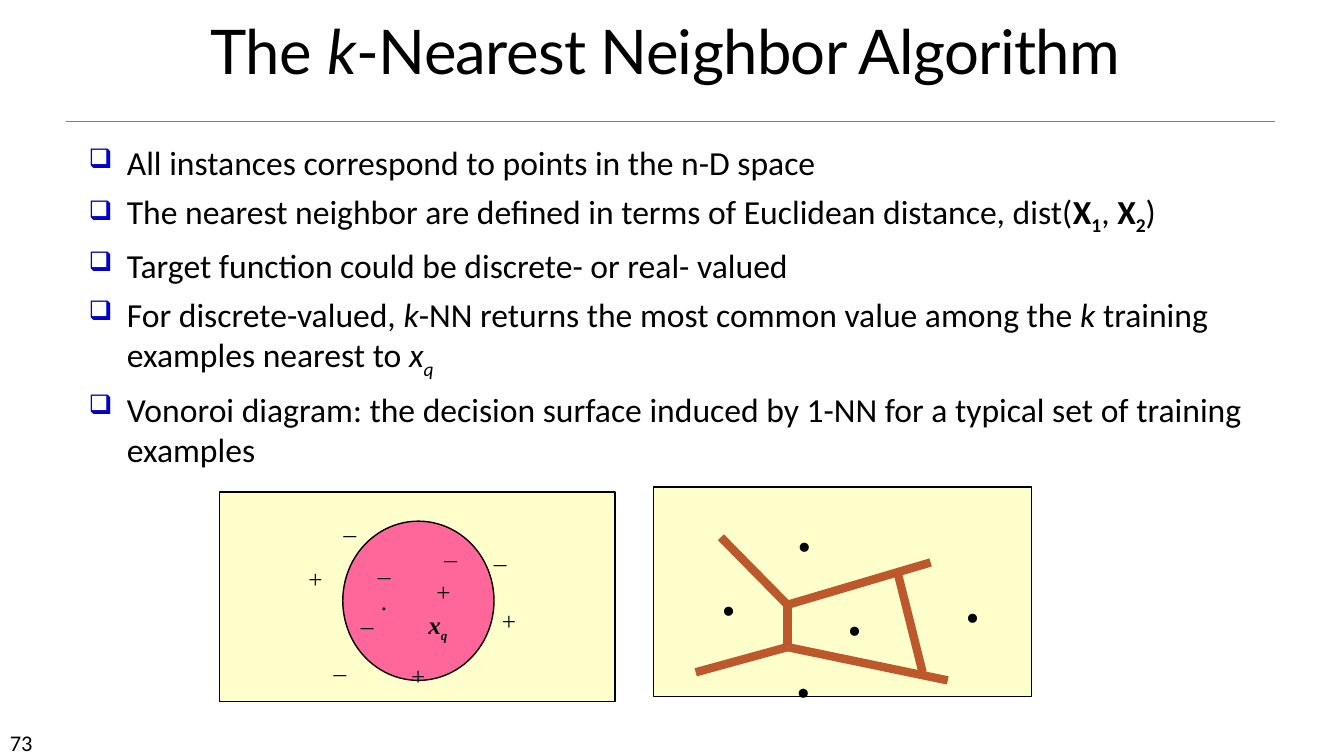
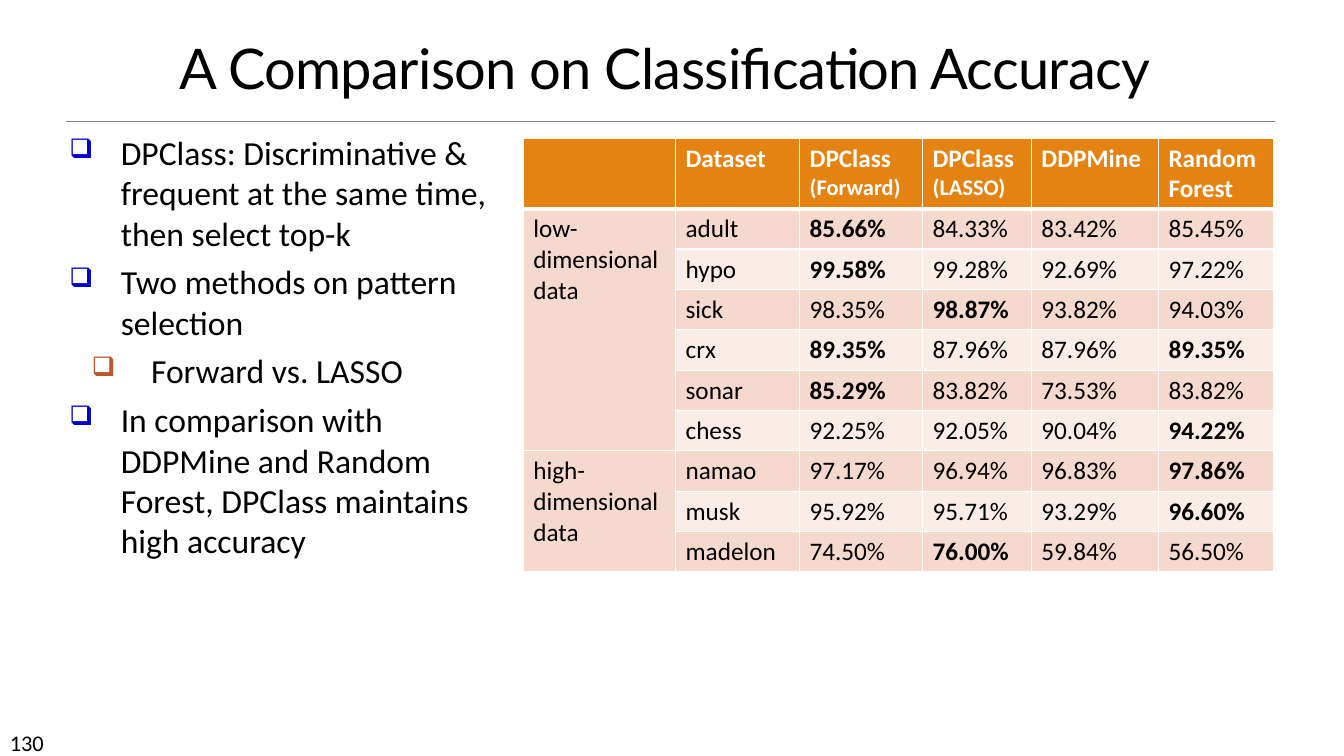
"""Build two classification slides: k-nearest neighbors and an accuracy table."""
from dataclasses import dataclass
from typing import NamedTuple

from lxml.etree import SubElement
from pptx import Presentation
from pptx.dml.color import RGBColor
from pptx.enum.shapes import MSO_CONNECTOR, MSO_SHAPE
from pptx.enum.text import MSO_ANCHOR, MSO_AUTO_SIZE, PP_ALIGN
from pptx.oxml import parse_xml
from pptx.oxml.ns import nsdecls, qn
from pptx.util import Inches, Pt

COLORS = {
    "text": "000000", "sign": "001010", "white": "FFFFFF", "rule": "808080",
    "bullet": "0000CC", "accent": "BD582C", "panel": "FFFFCC",
    "circle": "FF6699", "header": "E48312", "band": "F5D9CC",
    "light_band": "FAEDE7",
}
TITLE_FONT, BODY_FONT, SIGN_FONT = "Lato", "Calibri", "Times New Roman"


class Span(NamedTuple):
    text: str
    bold: bool = False
    italic: bool = False
    sub: bool = False


class Box(NamedTuple):
    left: float
    top: float
    width: float
    height: float


class Mark(NamedTuple):
    text: str
    left: float
    top: float


class Edge(NamedTuple):
    x1: float
    y1: float
    x2: float
    y2: float


@dataclass
class Bullet:
    spans: list[Span]
    level: int = 0


@dataclass
class Indent:
    text: float
    hang: float
    color: str = "bullet"


PLAIN_INDENT = [Indent(0.38, 0.38)]
WIDE_INDENT = [Indent(0.51, 0.51), Indent(0.81, 0.59, "accent")]

KNN_TITLE = [Span("The "), Span("k", italic=True), Span("-Nearest Neighbor Algorithm")]
KNN_BULLETS = [
    Bullet([Span("All instances correspond to points in the n-D space")]),
    Bullet([Span("The nearest neighbor are defined in terms of Euclidean distance, dist("),
            Span("X", bold=True), Span("1", bold=True, sub=True), Span(", "),
            Span("X", bold=True), Span("2", bold=True, sub=True), Span(")")]),
    Bullet([Span("Target function could be discrete- or real- valued")]),
    Bullet([Span("For discrete-valued, "), Span("k", italic=True),
            Span("-NN returns the most common value among the "),
            Span("k", italic=True), Span(" training examples nearest to "),
            Span("x", italic=True), Span("q", italic=True, sub=True)]),
    Bullet([Span("Vonoroi diagram: the decision surface induced by 1-NN for a "
                 "typical set of training examples")]),
]
SIGNS = [
    Mark("_", 3.65, 5.42), Mark("_", 3.48, 5.92), Mark("_", 4.31, 5.25),
    Mark("_", 4.8, 5.29), Mark("_", 3.21, 6.38), Mark("_", 3.31, 5),
    Mark("+", 4.23, 5.67), Mark("+", 3.98, 6.5), Mark("+", 2.96, 5.54),
    Mark("+", 4.88, 5.96),
]
POINTS = [
    Mark(".", 7.81, 4.87), Mark(".", 8.31, 5.7), Mark(".", 7.8, 6.32),
    Mark(".", 7.06, 5.5), Mark(".", 9.48, 5.57),
]
CELL_EDGES = [
    Edge(7.15, 5.33, 7.81, 6), Edge(7.81, 6, 9.23, 5.58),
    Edge(7.81, 6, 7.81, 6.42), Edge(7.81, 6.42, 9.4, 6.75),
    Edge(7.81, 6.42, 6.9, 6.67), Edge(8.9, 5.67, 9.15, 6.67),
]

ACCURACY_BULLETS = [
    Bullet([Span("DPClass: Discriminative & frequent at the same time, then select top-k")]),
    Bullet([Span("Two methods on pattern selection")]),
    Bullet([Span("Forward vs. LASSO")], level=1),
    Bullet([Span("In comparison with DDPMine and Random Forest, DPClass maintains high accuracy")]),
]
HEADERS = ["", "Dataset", "DPClass\n(Forward)", "DPClass\n(LASSO)", "DDPMine", "Random\nForest"]
COLUMN_WIDTHS = [1.51, 1.23, 1.22, 1.08, 1.26, 1.14]
GROUPS = {
    "low-\ndimensional\ndata": {
        "adult": [85.66, 84.33, 83.42, 85.45],
        "hypo": [99.58, 99.28, 92.69, 97.22],
        "sick": [98.35, 98.87, 93.82, 94.03],
        "crx": [89.35, 87.96, 87.96, 89.35],
        "sonar": [85.29, 83.82, 73.53, 83.82],
        "chess": [92.25, 92.05, 90.04, 94.22],
    },
    "high-\ndimensional\ndata": {
        "namao": [97.17, 96.94, 96.83, 97.86],
        "musk": [95.92, 95.71, 93.29, 96.60],
        "madelon": [74.50, 76.00, 59.84, 56.50],
    },
}


def rgb(name: str) -> RGBColor:
    return RGBColor.from_string(COLORS[name])


def style_font(font, name: str, size: float, color: str = "text", bold: bool = False) -> None:
    font.name, font.size, font.bold = name, Pt(size), bold
    font.color.rgb = rgb(color)


def add_spans(p, spans: list[Span], name: str, size: float, color: str = "text") -> None:
    for span in spans:
        r = p.add_run()
        r.text = span.text
        style_font(r.font, name, size, color, span.bold)
        r.font.italic = span.italic
        if span.sub:
            r.font._element.set("baseline", "-25000")


def add_text(s, box: Box, wrap: bool = True):
    tf = s.shapes.add_textbox(*map(Inches, box)).text_frame
    tf.word_wrap = wrap
    return tf


def add_line(s, edge: Edge, color: str, width: float) -> None:
    line = s.shapes.add_connector(MSO_CONNECTOR.STRAIGHT, *map(Inches, edge))
    line.line.color.rgb = rgb(color)
    line.line.width = Pt(width)
    SubElement(line._element.spPr, qn("a:effectLst"))


def add_shape(s, kind: MSO_SHAPE, box: Box, fill: str):
    sp = s.shapes.add_shape(kind, *map(Inches, box))
    sp.shadow.inherit = False
    sp.fill.solid()
    sp.fill.fore_color.rgb = rgb(fill)
    sp.line.color.rgb = rgb("text")
    sp.line.width = Pt(1)
    return sp


def add_slide(prs, title: list[Span], box: Box, size: float, anchor: MSO_ANCHOR, number: int):
    s = prs.slides.add_slide(prs.slide_layouts[5])
    add_line(s, Edge(0.65, 1.2, 12.65, 1.2), "rule", 0.5)
    sp = s.shapes.title
    sp.left, sp.top, sp.width, sp.height = map(Inches, box)
    tf = sp.text_frame
    tf.word_wrap, tf.auto_size, tf.vertical_anchor = True, MSO_AUTO_SIZE.NONE, anchor
    p = tf.paragraphs[0]
    p.alignment, p.line_spacing = PP_ALIGN.CENTER, 0.85
    add_spans(p, title, TITLE_FONT, size)
    for r in p.runs:
        r.font._element.set("spc", "-50")
    tf = add_text(s, Box(0, 7.18, 1.17, 0.3))
    tf.text = str(number)
    style_font(tf.paragraphs[0].runs[0].font, BODY_FONT, 16)
    return s


def add_bullets(s, box: Box, bullets: list[Bullet], indents: list[Indent]) -> None:
    tf = add_text(s, box)
    for i, bullet in enumerate(bullets):
        p = tf.add_paragraph() if i else tf.paragraphs[0]
        p.level = bullet.level
        indent = indents[bullet.level]
        pPr = p._p.get_or_add_pPr()
        pPr.set("marL", str(Inches(indent.text)))
        pPr.set("indent", str(-Inches(indent.hang)))
        color = SubElement(pPr, qn("a:buClr"))
        SubElement(color, qn("a:srgbClr"), val=COLORS[indent.color])
        SubElement(pPr, qn("a:buSzPct"), val="80000")
        SubElement(pPr, qn("a:buChar"), char="❑")
        p.space_before = Pt(6 if i else 0)
        add_spans(p, bullet.spans, BODY_FONT, 24)


def add_mark(s, mark: Mark, size: float, height: float, color: str, bold: bool = False) -> None:
    tf = add_text(s, Box(mark.left, mark.top, 0.34, height), wrap=False)
    tf.text = mark.text
    style_font(tf.paragraphs[0].runs[0].font, SIGN_FONT, size, color, bold)


def add_neighbors(s) -> None:
    add_shape(s, MSO_SHAPE.RECTANGLE, Box(2.18, 4.88, 3.92, 2.08), "panel")
    circle = add_shape(s, MSO_SHAPE.OVAL, Box(3.4, 5.17, 1.5, 1.58), "circle")
    tf = circle.text_frame
    tf.text = "."
    tf.word_wrap, tf.margin_left = False, Inches(0.16)
    style_font(tf.paragraphs[0].runs[0].font, SIGN_FONT, 18)
    for sign in SIGNS:
        add_mark(s, sign, 18, 0.4, "sign")
    p = add_text(s, Box(4.15, 6, 0.4, 0.4), wrap=False).paragraphs[0]
    query = [Span("x", bold=True, italic=True), Span("q", bold=True, italic=True, sub=True)]
    add_spans(p, query, SIGN_FONT, 18, "sign")
    p.runs[1].font.size = Pt(16)


def add_voronoi(s) -> None:
    add_shape(s, MSO_SHAPE.RECTANGLE, Box(6.48, 4.83, 3.75, 2.08), "panel")
    for edge in CELL_EDGES:
        add_line(s, edge, "accent", 6)
    for point in POINTS:
        add_mark(s, point, 40, 0.77, "text", bold=True)


def set_borders(cell, top: float = 1, bottom: float = 1) -> None:
    tcPr = cell._tc.get_or_add_tcPr()
    for i, (side, width) in enumerate({"L": 1, "R": 1, "T": top, "B": bottom}.items()):
        tcPr.insert(i, parse_xml(
            f'<a:ln{side} {nsdecls("a")} w="{Pt(width)}"><a:solidFill>'
            f'<a:srgbClr val="{COLORS["white"]}"/></a:solidFill></a:ln{side}>'))


def fill_cell(cell, text: str, fill: str, color: str = "text", bold: bool = False) -> None:
    cell.fill.solid()
    cell.fill.fore_color.rgb = rgb(fill)
    cell.text_frame.text = text
    for p in cell.text_frame.paragraphs:
        for r in p.runs:
            style_font(r.font, BODY_FONT, 16 if r.text.startswith("(") else 18, color, bold)


def add_accuracy_table(s) -> None:
    count = 1 + sum(map(len, GROUPS.values()))
    heights = [0.7] + [0.4] * (count - 1)
    box = Box(5.19, 1.37, sum(COLUMN_WIDTHS), sum(heights))
    table = s.shapes.add_table(count, len(HEADERS), *map(Inches, box)).table
    for column, width in zip(table.columns, COLUMN_WIDTHS):
        column.width = Inches(width)
    for row, height in zip(table.rows, heights):
        row.height = Inches(height)
    for j, header in enumerate(HEADERS):
        fill_cell(table.cell(0, j), header, "header", "white", bold=True)
        set_borders(table.cell(0, j), bottom=3)
    i = 1
    for group, datasets in GROUPS.items():
        first = i
        for dataset, values in datasets.items():
            fill = "band" if i % 2 else "light_band"
            fill_cell(table.cell(i, 0), group if i == first else "", "band")
            fill_cell(table.cell(i, 1), dataset, fill)
            for j, value in enumerate(values, 2):
                fill_cell(table.cell(i, j), f"{value:.2f}%", fill, bold=value == max(values))
            for j in range(len(HEADERS)):
                set_borders(table.cell(i, j), top=3 if i == 1 else 1)
            i += 1
        table.cell(first, 0).merge(table.cell(i - 1, 0))


def main() -> None:
    prs = Presentation()
    prs.slide_width, prs.slide_height = Inches(13.33), Inches(7.5)
    s = add_slide(prs, KNN_TITLE, Box(0.57, 0, 12.06, 1.11), 44, MSO_ANCHOR.MIDDLE, 73)
    add_bullets(s, Box(0.78, 1.36, 11.68, 3.29), KNN_BULLETS, PLAIN_INDENT)
    add_neighbors(s)
    add_voronoi(s)
    title = [Span("A Comparison on Classification Accuracy")]
    s = add_slide(prs, title, Box(0.38, 0.24, 12.43, 0.81), 40, MSO_ANCHOR.BOTTOM, 130)
    add_bullets(s, Box(0.59, 1.26, 4.6, 5.24), ACCURACY_BULLETS, WIDE_INDENT)
    add_accuracy_table(s)
    prs.save("out.pptx")


if __name__ == "__main__":
    main()
